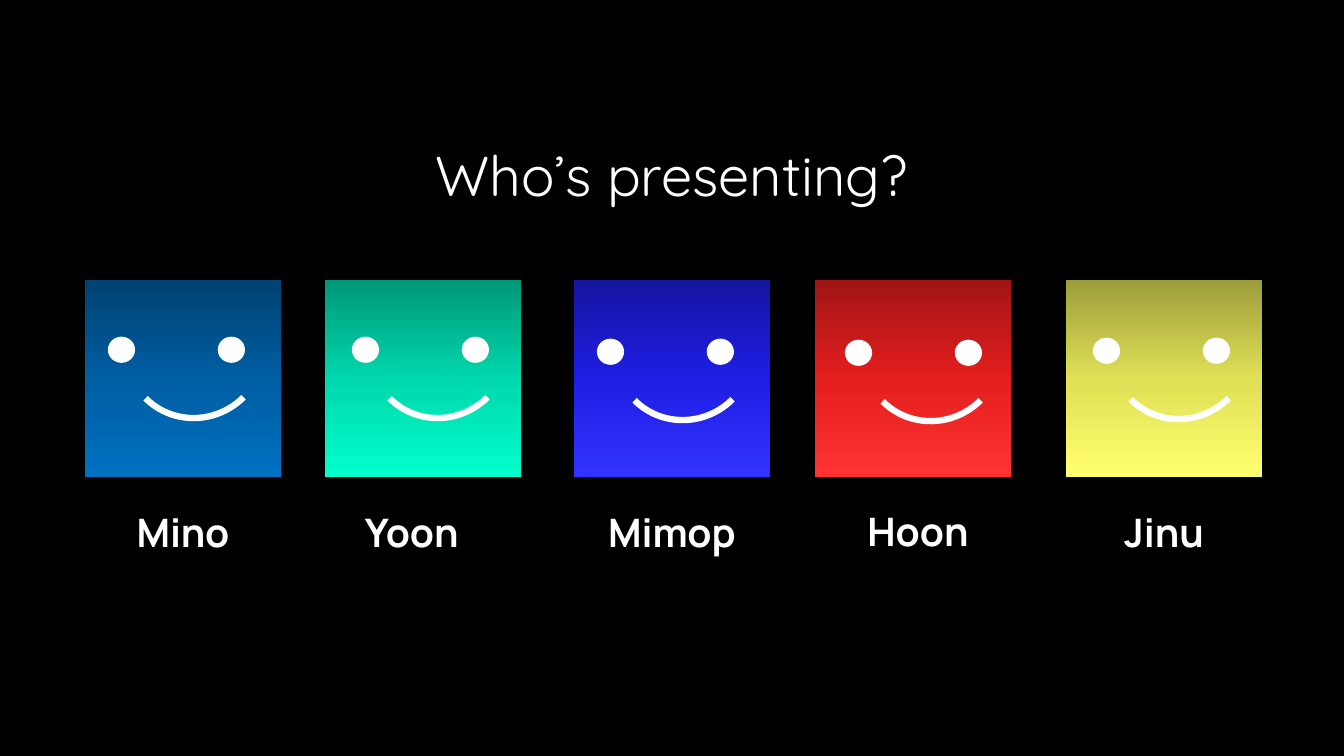
from copy import deepcopy

from pptx import Presentation
from pptx.dml.color import RGBColor
from pptx.enum.shapes import MSO_SHAPE
from pptx.enum.text import MSO_ANCHOR, MSO_AUTO_SIZE, PP_ALIGN
from pptx.oxml.ns import qn
from pptx.util import Inches, Pt

WHITE = "FFFFFF"


def color(code):
    return RGBColor.from_string(code)


class Deck:
    def __init__(self, width, height):
        self.prs = Presentation()
        self.prs.slide_width = Inches(width)
        self.prs.slide_height = Inches(height)
        self.slide = self.prs.slides.add_slide(self.prs.slide_layouts[5])
        fill = self.slide.background.fill
        fill.solid()
        fill.fore_color.rgb = color("000000")

    def words(self, box, text, font, size, bold=False):
        frame = box.text_frame
        frame.text = text
        frame.word_wrap = True
        frame.vertical_anchor = MSO_ANCHOR.TOP
        frame.auto_size = MSO_AUTO_SIZE.SHAPE_TO_FIT_TEXT
        line = frame.paragraphs[0]
        line.alignment = PP_ALIGN.CENTER
        style = line.runs[0].font
        style.name, style.size, style.bold = font, Pt(size), bold
        style.color.rgb = color(WHITE)

    def title(self, text, left, top, width, height):
        box = self.slide.shapes.title
        box.left, box.top = Inches(left), Inches(top)
        box.width, box.height = Inches(width), Inches(height)
        self.words(box, text, "Quicksand", 40)

    def label(self, text, left, top):
        box = self.slide.shapes.add_textbox(
            Inches(left), Inches(top), Inches(2.17), Inches(0.57))
        self.words(box, text, "Manrope", 28, True)

    def shape(self, home, kind, left, top, width, height):
        item = home.shapes.add_shape(
            kind, Inches(left), Inches(top), Inches(width), Inches(height))
        item.shadow.inherit = False
        item.line.fill.background()
        return item

    def tile(self, left, top, shades):
        item = self.shape(self.slide, MSO_SHAPE.RECTANGLE, left, top, 1.95, 1.95)
        item.fill.gradient()
        item.fill.gradient_angle = 270
        stops = next(item.element.iter(qn("a:gsLst")))
        stops.append(deepcopy(stops[-1]))
        for stop, place, shade in zip(item.fill.gradient_stops, (0, 0.5, 1), shades):
            stop.position = place
            stop.color.rgb = color(shade)

    def face(self, left, top):
        group = self.slide.shapes.add_group_shape()
        for shift in (0, 1.09):
            eye = self.shape(group, MSO_SHAPE.OVAL, left + shift, top + 0.56, 0.27, 0.26)
            eye.fill.solid()
            eye.fill.fore_color.rgb = color(WHITE)
        smile = self.shape(group, MSO_SHAPE.ARC, left + 0.17, top, 1.39, 1.36)
        smile.rotation = 135
        smile.fill.background()
        smile.line.color.rgb = color(WHITE)
        smile.line.width = Pt(4.5)


def main():
    deck = Deck(13.33, 7.5)
    deck.title("Who’s presenting?", 3.96, 1.34, 5.4, 0.77)
    people = [
        ("Mino", 0.84, 0.73, 1.07, 2.78, ("004272", "005EA2", "0070C0")),
        ("Yoon", 3.22, 3, 3.49, 2.78, ("009779", "00D7AC", "00FFCC")),
        ("Mimop", 5.69, 5.58, 5.92, 2.8, ("1515A0", "1E1EE4", "3333FF")),
        ("Hoon", 8.08, 8.02, 8.38, 2.81, ("A01515", "E41E1E", "FF3333")),
        ("Jinu", 10.57, 10.46, 10.84, 2.79, ("9D9D3C", "E0E056", "FFFF70")),
    ]
    for name, tile, label, face, top, shades in people:
        deck.tile(tile, 2.78, shades)
        deck.label(name, label, 4.98 if name == "Hoon" else 4.99)
        deck.face(face, top)
    deck.prs.save("out.pptx")


if __name__ == "__main__":
    main()
